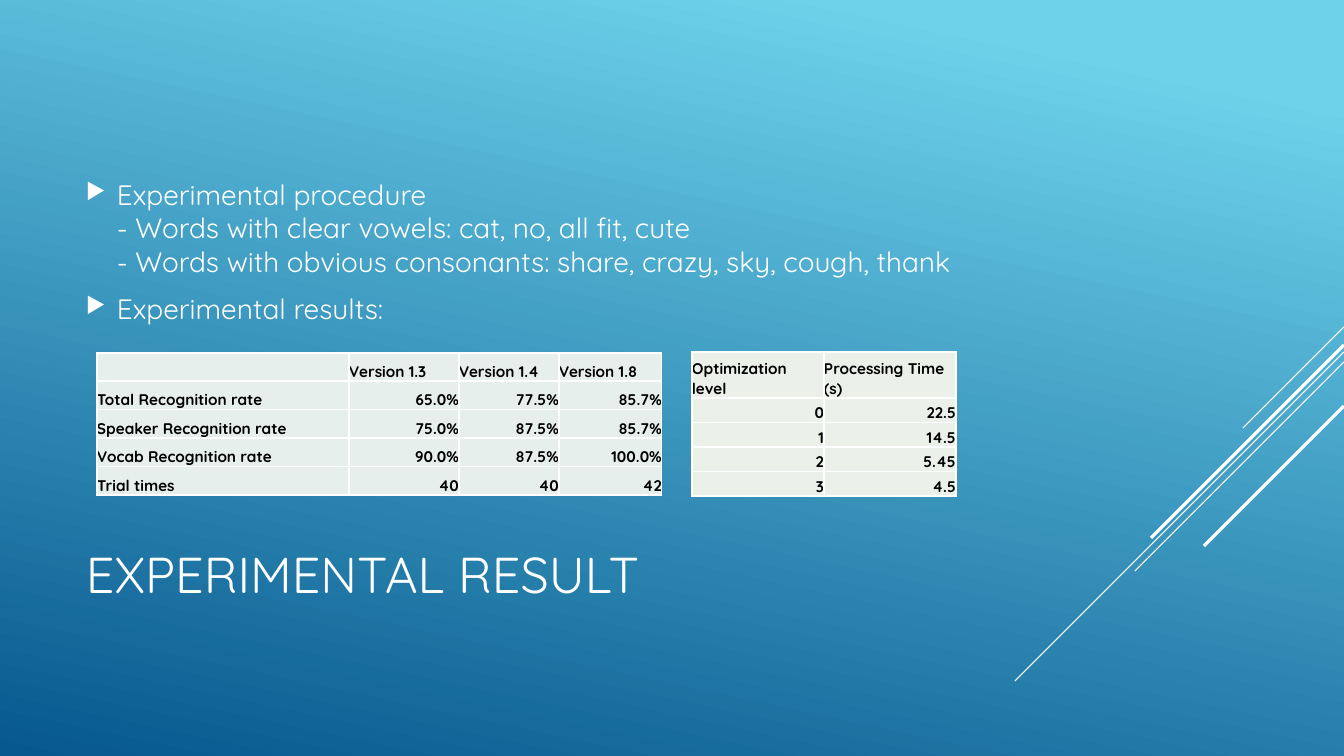
from dataclasses import dataclass
from lxml.etree import SubElement as Sub
from pptx import Presentation
from pptx.dml.color import RGBColor as Rgb
from pptx.enum.shapes import MSO_CONNECTOR as Conn
from pptx.enum.text import MSO_ANCHOR as Anchor, PP_ALIGN as Align
from pptx.oxml.ns import qn
from pptx.util import Emu, Pt


@dataclass(frozen=True)
class Theme:
    font: str = "Quicksand"
    light: str = "6ED2EB"
    deep: str = "06588E"
    white: str = "FFFFFF"
    ink: str = "000000"
    mint: str = "E7EFEC"
    sage: str = "EBF0E8"
    title: int = 36
    body: int = 20
    cell: int = 11
    thin: float = 0.75
    thick: float = 2.25


theme = Theme()
SCALE = 914400 / 100.8
WIDTH, HEIGHT = 1344, 756


def px(size):
    return Emu(round(size * SCALE))


def add_run(para, text, size, color, bold=False):
    run = para.add_run()
    run.text = text
    font = run.font
    font.name, font.size, font.bold = theme.font, Pt(size), bold
    font.color.rgb = Rgb.from_string(color)


def add_box(slide, box):
    frame = slide.shapes.add_textbox(*map(px, box)).text_frame
    frame.word_wrap = True
    return frame


def draw_back(slide):
    fill = slide.background.fill
    fill.gradient()
    fill.gradient_angle = 360 - 102
    stops = zip(fill.gradient_stops, (0.1, 1), (theme.light, theme.deep))
    for stop, place, color in stops:
        stop.position = place
        stop.color.rgb = Rgb.from_string(color)


def draw_rays(slide, box, rays):
    left, top, width, _ = box
    right = left + width
    for drop, reach, weight in rays:
        start = top + drop
        ends = map(px, (right, start, right - reach, start + reach))
        ray = slide.shapes.add_connector(Conn.STRAIGHT, *ends)
        ray.line.color.rgb = Rgb.from_string(theme.white)
        ray.line.width = Pt(weight)
        Sub(ray._element.spPr, qn("a:effectLst"))


def draw_title(slide, box, text):
    frame = add_box(slide, box)
    frame.vertical_anchor = Anchor.MIDDLE
    add_run(frame.paragraphs[0], text, theme.title, theme.white)


def add_bullet(para):
    props = para._p.get_or_add_pPr()
    props.set("marL", str(px(31)))
    props.set("indent", str(-px(31)))
    tint = Sub(props, qn("a:buClr"))
    Sub(tint, qn("a:srgbClr"), val=theme.white)
    Sub(props, qn("a:buSzPct"), val="80000")
    Sub(props, qn("a:buChar"), char="▶")


def draw_body(slide, box, items):
    frame = add_box(slide, box)
    frame.margin_top = px(101)
    for num, lines in enumerate(items):
        para = frame.add_paragraph() if num else frame.paragraphs[0]
        para.line_spacing = Pt(24)
        para.space_after = Pt(10)
        add_bullet(para)
        for pos, line in enumerate(lines):
            if pos:
                para.add_line_break()
            add_run(para, line, theme.body, theme.white)


def add_edges(cell):
    props = cell._tc.get_or_add_tcPr()
    for pos, side in enumerate(("lnL", "lnR", "lnT", "lnB")):
        edge = Sub(props, qn("a:" + side), w=str(Pt(1)))
        paint = Sub(edge, qn("a:solidFill"))
        Sub(paint, qn("a:srgbClr"), val=theme.white)
        props.insert(pos, edge)


def fill_cell(cell, text, color, right):
    cell.margin_left = cell.margin_right = 0
    cell.margin_top = cell.margin_bottom = 0
    cell.vertical_anchor = Anchor.BOTTOM
    cell.fill.solid()
    cell.fill.fore_color.rgb = Rgb.from_string(color)
    add_edges(cell)
    para = cell.text_frame.paragraphs[0]
    para.alignment = Align.RIGHT if right else Align.LEFT
    if text:
        add_run(para, text, theme.cell, theme.ink, True)
    else:
        Sub(para._p, qn("a:endParaRPr"), sz=str(theme.cell * 100))


def draw_table(slide, box, cols, head, color, data, label=False):
    frame = slide.shapes.add_table(len(data), len(cols), *map(px, box))
    table = frame.table
    for col, width in zip(table.columns, cols):
        col.width = px(width)
    rest = (box[3] - head) / (len(data) - 1)
    for num, texts in enumerate(data):
        table.rows[num].height = px(rest if num else head)
        for pos, text in enumerate(texts):
            right = num > 0 and not (label and pos == 0)
            fill_cell(table.cell(num, pos), text, color, right)


RAYS = [
    (0, 101, theme.thin),
    (25, 329, theme.thin),
    (35, 209, theme.thin),
    (18, 193, theme.thick),
    (79, 140, theme.thick),
]
ITEMS = [
    ["Experimental procedure",
     "- Words with clear vowels: cat, no, all fit, cute",
     "- Words with obvious consonants: share, crazy, sky, cough, thank"],
    ["Experimental results:"],
]
RATES = [
    ["", "Version 1.3", "Version 1.4", "Version 1.8"],
    ["Total Recognition rate", "65.0%", "77.5%", "85.7%"],
    ["Speaker Recognition rate", "75.0%", "87.5%", "85.7%"],
    ["Vocab Recognition rate", "90.0%", "87.5%", "100.0%"],
    ["Trial times", "40", "40", "42"],
]
TIMES = [
    ["Optimization level", "Processing Time (s)"],
    ["0", "22.5"],
    ["1", "14.5"],
    ["2", "5.45"],
    ["3", "4.5"],
]

deck = Presentation()
deck.slide_width, deck.slide_height = px(WIDTH), px(HEIGHT)
slide = deck.slides.add_slide(deck.slide_layouts[6])
draw_back(slide)
draw_rays(slide, (1015, 327, 329, 354), RAYS)
draw_title(slide, (76, 490, 940, 166), "EXPERIMENTAL RESULT")
draw_body(slide, (76, 76, 940, 398), ITEMS)
draw_table(slide, (97, 353, 565, 142), (252, 110, 100, 103), 28,
           theme.mint, RATES, label=True)
draw_table(slide, (692, 352, 264, 144), (132, 132), 46, theme.sage, TIMES)
deck.save("out.pptx")
